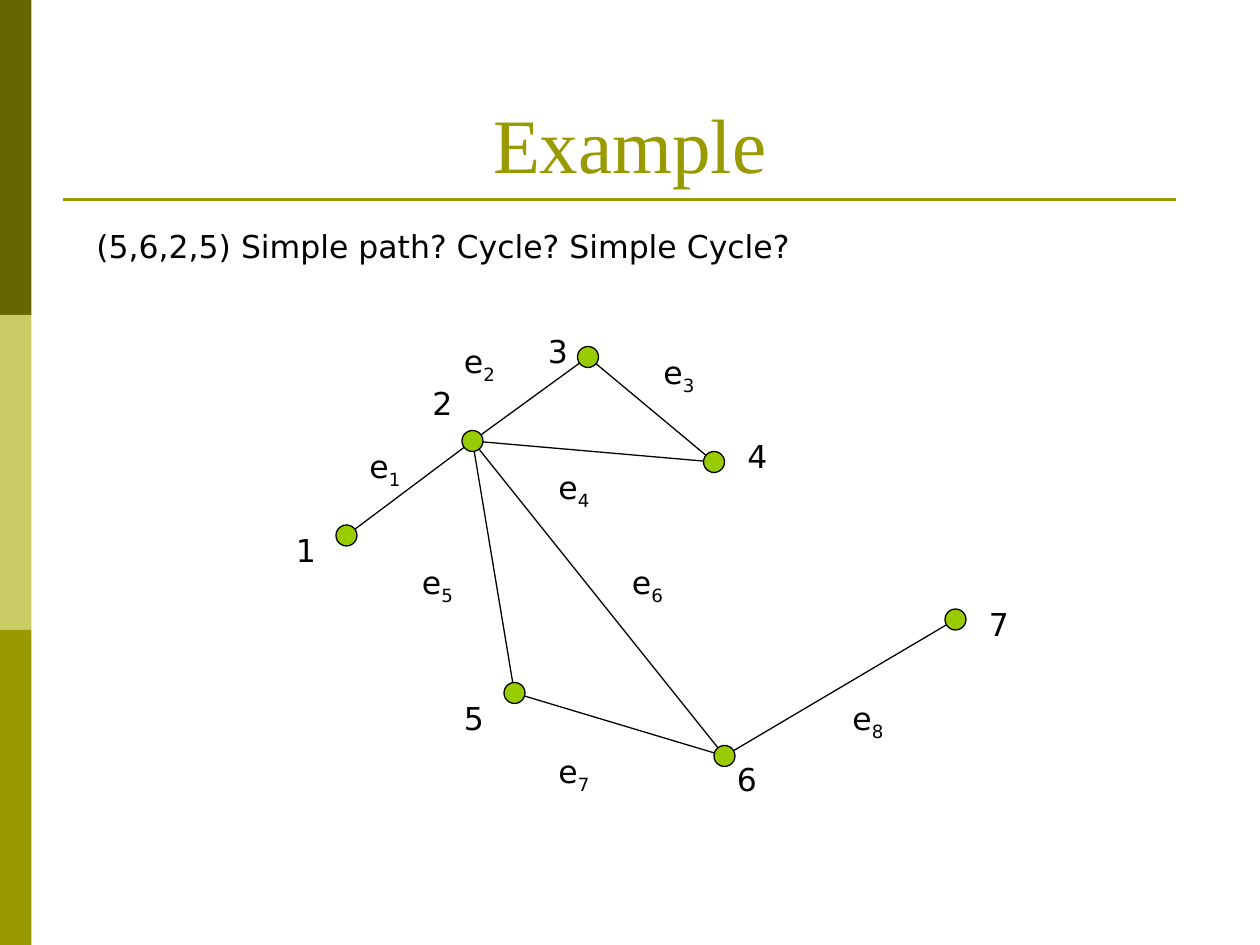
from typing import NamedTuple

from pptx import Presentation
from pptx import util as u
from pptx.dml.color import RGBColor
from pptx.enum import shapes, text
from pptx.oxml.ns import qn

PX = u.Inches(1) // 96
COLORS = {
    "dark": "666600",
    "light": "CCCC66",
    "olive": "999900",
    "node": "99CC00",
    "black": "000000",
}
BODY_FONT = "DejaVu Sans"
TITLE_FONT = "Times New Roman"
NODE_SIZE = 16


class Node(NamedTuple):
    name: str
    x: int  # centre
    y: int
    label_x: int  # top left of the label
    label_y: int


class Edge(NamedTuple):
    start: str
    end: str
    label_x: int
    label_y: int


NODES = [
    Node("1", 264, 408, 216, 400),
    Node("2", 360, 336, 320, 288),
    Node("3", 448, 272, 408, 248),
    Node("4", 544, 352, 560, 328),
    Node("5", 392, 528, 344, 528),
    Node("6", 552, 576, 552, 574),
    Node("7", 728, 472, 744, 456),
]
# Edges are numbered e1 to e8 in this order
EDGES = [
    Edge("1", "2", 272, 336),
    Edge("2", "3", 344, 256),
    Edge("3", "4", 496, 264),
    Edge("2", "4", 416, 352),
    Edge("2", "5", 312, 424),
    Edge("2", "6", 472, 424),
    Edge("5", "6", 416, 568),
    Edge("6", "7", 640, 528),
]


def px(*lengths: int) -> list[int]:
    return [n * PX for n in lengths]


def rgb(name: str) -> RGBColor:
    return RGBColor.from_string(COLORS[name])


def style_run(r, font: str, size: int, color: str) -> None:
    r.font.name = font
    r.font.size = u.Pt(size)
    r.font.color.rgb = rgb(color)


def add_line(slide, x1: int, y1: int, x2: int, y2: int, color: str, width: float) -> None:
    line = slide.shapes.add_connector(shapes.MSO_CONNECTOR.STRAIGHT, *px(x1, y1, x2, y2))
    line.line.color.rgb = rgb(color)
    line.line.width = u.Pt(width)
    sp_pr = line._element.spPr
    sp_pr.append(sp_pr.makeelement(qn("a:effectLst"), {}))


def add_filled(slide, kind, x: int, y: int, w: int, h: int, color: str):
    sp = slide.shapes.add_shape(kind, *px(x, y, w, h))
    sp.shadow.inherit = False
    sp.fill.solid()
    sp.fill.fore_color.rgb = rgb(color)
    sp.line.fill.background()
    return sp


def add_label(slide, x: int, y: int, w: int, h: int, words: str, subscript: str = "") -> None:
    tf = slide.shapes.add_textbox(*px(x, y, w, h)).text_frame
    tf.word_wrap = True
    tf.auto_size = text.MSO_AUTO_SIZE.SHAPE_TO_FIT_TEXT
    p = tf.paragraphs[0]
    for part in filter(None, (words, subscript)):
        r = p.add_run()
        r.text = part
        style_run(r, BODY_FONT, 18, "black")
    if subscript:
        p.runs[-1].font._element.set("baseline", "-25000")


def add_title(slide, words: str) -> None:
    title = slide.shapes.title
    title.left, title.top, title.width, title.height = px(48, 29, 864, 120)
    tf = title.text_frame
    tf.text = words
    tf.auto_size = text.MSO_AUTO_SIZE.NONE
    tf.vertical_anchor = text.MSO_ANCHOR.BOTTOM
    p = tf.paragraphs[0]
    p.alignment = text.PP_ALIGN.CENTER
    style_run(p.runs[0], TITLE_FONT, 44, "olive")


def main() -> None:
    prs = Presentation()
    prs.slide_width, prs.slide_height = px(960, 720)
    slide = prs.slides.add_slide(prs.slide_layouts[5])

    # Side bands, title and rule
    for i, color in enumerate(("dark", "light", "olive")):
        add_filled(slide, shapes.MSO_SHAPE.RECTANGLE, 0, 240 * i, 24, 240, color)
    add_line(slide, 48, 152, 896, 152, "olive", 1.5)
    add_title(slide, "Example")

    # Edges lie behind the nodes
    centres = {n.name: (n.x, n.y) for n in NODES}
    for edge in reversed(EDGES):
        add_line(slide, *centres[edge.start], *centres[edge.end], "black", 0.75)

    # Nodes
    for n in NODES:
        sp = add_filled(slide, shapes.MSO_SHAPE.FLOWCHART_CONNECTOR,
                        n.x - NODE_SIZE // 2, n.y - NODE_SIZE // 2,
                        NODE_SIZE, NODE_SIZE, "node")
        sp.line.color.rgb = rgb("black")
        sp.line.width = u.Pt(0.75)

    # Labels and question
    for n in NODES:
        add_label(slide, n.label_x, n.label_y, 32, 38, n.name)
    for i, edge in enumerate(EDGES, 1):
        add_label(slide, edge.label_x, edge.label_y, 64, 42, "e", str(i))
    add_label(slide, 64, 168, 688, 38, "(5,6,2,5) Simple path? Cycle? Simple Cycle?")

    prs.save("out.pptx")


if __name__ == "__main__":
    main()
